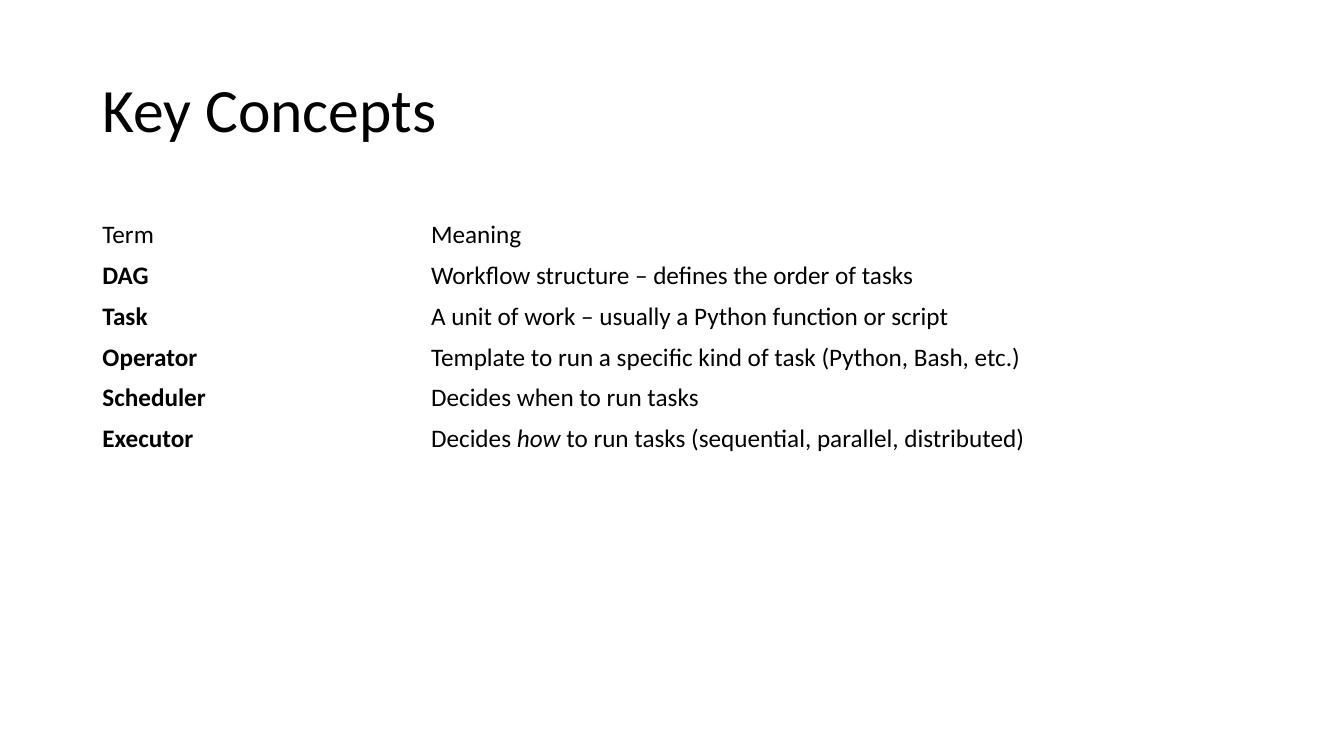
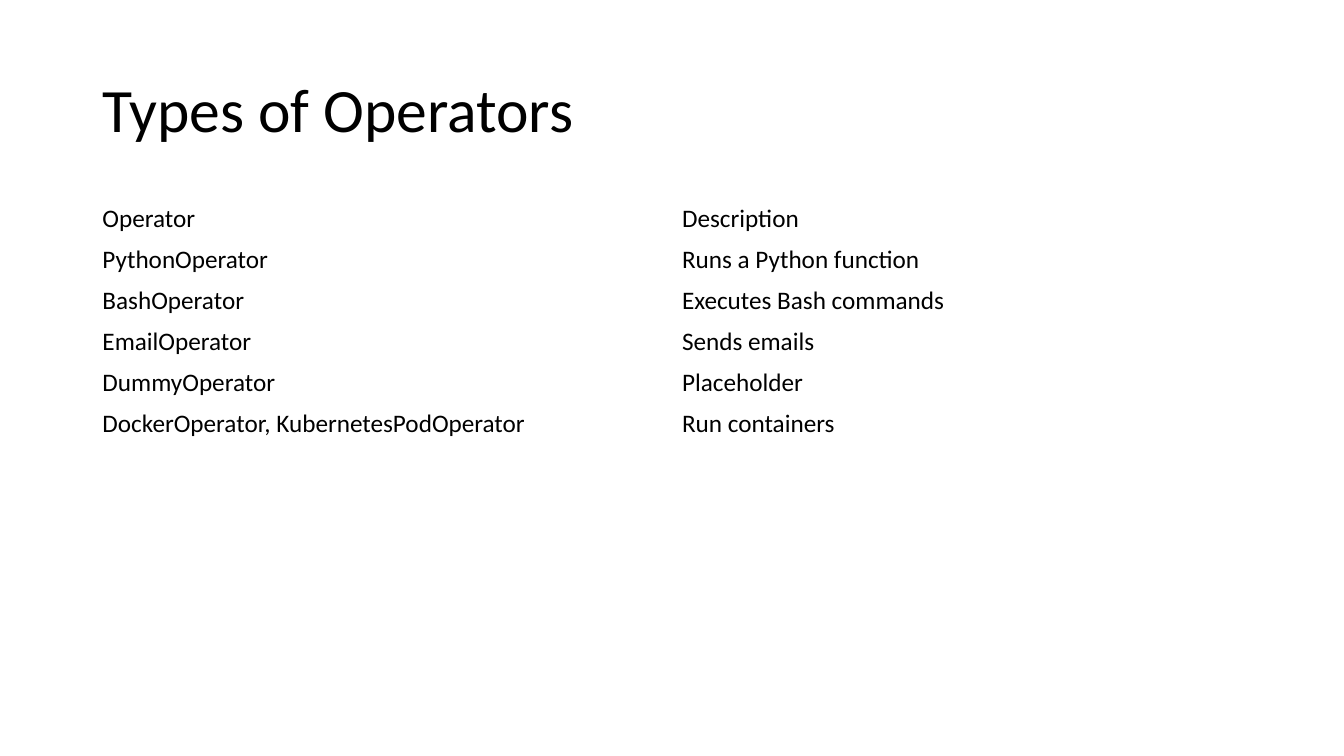
from pptx import Presentation, util as u
from pptx.dml.color import RGBColor
from pptx.enum import text

PX = u.Inches(1) // 96
BLACK = RGBColor(0, 0, 0)
WHITE = RGBColor(255, 255, 255)
LEFT, WIDTH, ROW_HEIGHT = 88, 1104, 39
TITLE_FORMAT = {"name": "Calibri", "size": u.Pt(44)}
CELL_FORMAT = {"name": "Calibri", "size": u.Pt(18), "bold": False, "italic": False}


def write(paragraph, wording, font_format):
    run = paragraph.add_run()
    run.text = wording
    for attribute, value in font_format.items():
        setattr(run.font, attribute, value)
    run.font.color.rgb = BLACK


pages = [
    {
        "title": "Key Concepts",
        "top": 204,
        "columns": [313, 791],
        "bold_terms": True,
        "rows": [
            ("Term", ["Meaning"]),
            ("DAG", ["Workflow structure – defines the order of tasks"]),
            ("Task", ["A unit of work – usually a Python function or script"]),
            ("Operator", ["Template to run a specific kind of task (Python, Bash, etc.)"]),
            ("Scheduler", ["Decides when to run tasks"]),
            ("Executor", ["Decides ", "how", " to run tasks (sequential, parallel, distributed)"]),
        ],
    },
    {
        "title": "Types of Operators",
        "top": 189,
        "columns": [WIDTH // 2, WIDTH // 2],
        "bold_terms": False,
        "rows": [
            ("Operator", ["Description"]),
            ("PythonOperator", ["Runs a Python function"]),
            ("BashOperator", ["Executes Bash commands"]),
            ("EmailOperator", ["Sends emails"]),
            ("DummyOperator", ["Placeholder"]),
            ("DockerOperator, KubernetesPodOperator", ["Run containers"]),
        ],
    },
]

deck = Presentation()
deck.slide_width, deck.slide_height = 1280 * PX, 720 * PX

for page in pages:
    slide = deck.slides.add_slide(deck.slide_layouts[6])
    slide.background.fill.solid()
    slide.background.fill.fore_color.rgb = WHITE

    heading = slide.shapes.add_textbox(LEFT * PX, 38 * PX, WIDTH * PX, 139 * PX).text_frame
    heading.word_wrap = True
    heading.vertical_anchor = text.MSO_ANCHOR.MIDDLE
    heading.paragraphs[0].line_spacing = 0.9
    write(heading.paragraphs[0], page["title"], TITLE_FORMAT)

    rows = page["rows"]
    glossary = slide.shapes.add_table(
        len(rows), 2, LEFT * PX, page["top"] * PX, WIDTH * PX, len(rows) * ROW_HEIGHT * PX
    ).table
    glossary.first_row = glossary.horz_banding = False
    for column, width in zip(glossary.columns, page["columns"]):
        column.width = width * PX

    for index, (term, meaning) in enumerate(rows):
        glossary.rows[index].height = ROW_HEIGHT * PX
        for cell, parts in zip(glossary.rows[index].cells, ([term], meaning)):
            cell.fill.background()
            cell.vertical_anchor = text.MSO_ANCHOR.MIDDLE
            is_bold = page["bold_terms"] and index > 0 and parts is not meaning
            for part in parts:
                emphasis = {"bold": is_bold, "italic": part == "how"}
                write(cell.text_frame.paragraphs[0], part, CELL_FORMAT | emphasis)

deck.save("out.pptx")
